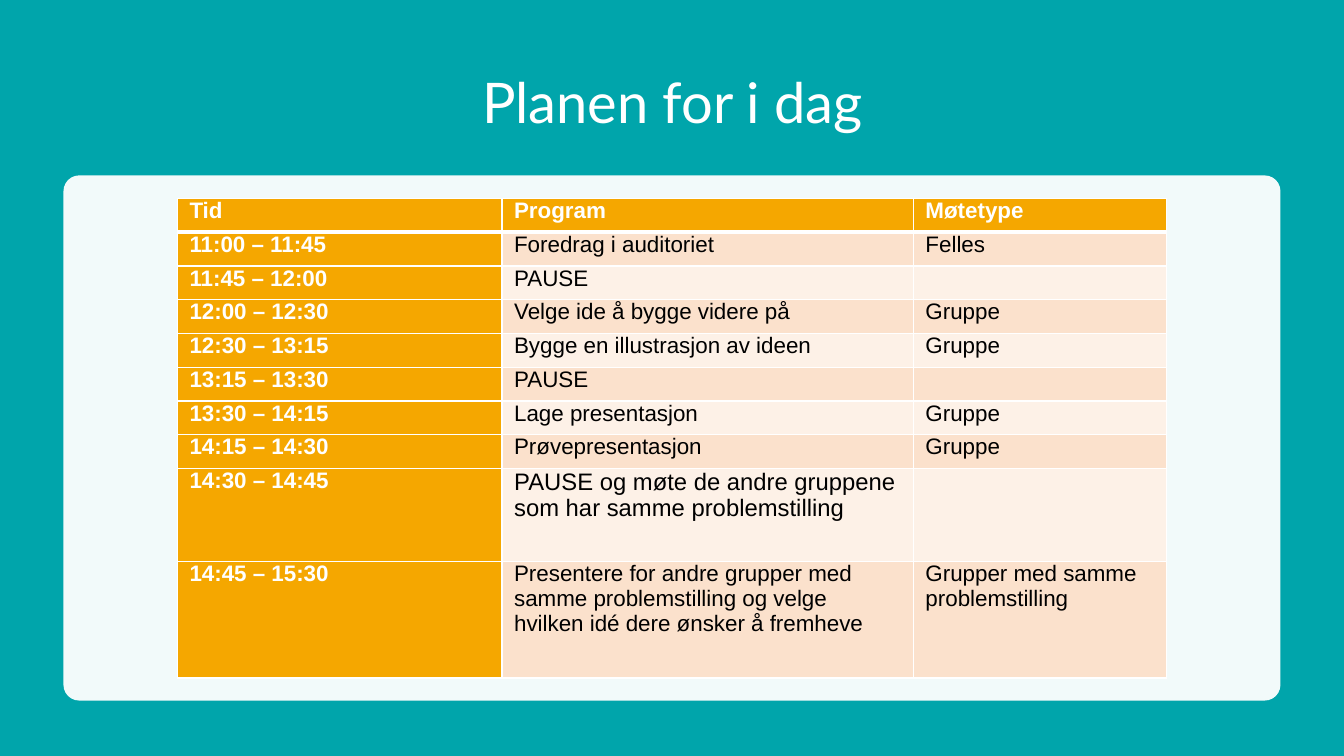
from dataclasses import dataclass

from lxml.etree import SubElement
from pptx import Presentation
from pptx.dml.color import RGBColor
from pptx.enum.shapes import MSO_SHAPE as Shape
from pptx.enum.text import MSO_ANCHOR as Anchor, PP_ALIGN as Align
from pptx.oxml.ns import qn
from pptx.util import Inches, Pt

TEAL = RGBColor(0x00, 0xA5, 0xAB)
WHITE = RGBColor(0xFF, 0xFF, 0xFF)
BLACK = RGBColor(0x00, 0x00, 0x00)
ORANGE = RGBColor(0xF5, 0xA7, 0x00)
PEACH = RGBColor(0xFB, 0xE1, 0xCC)
CREAM = RGBColor(0xFD, 0xF1, 0xE7)


@dataclass
class Session:
    time: str
    program: str
    meeting: str = ""
    program_size: int = 16


HEADER = Session("Tid", "Program", "Møtetype")
SESSIONS = [
    Session("11:00 – 11:45", "Foredrag i auditoriet", "Felles"),
    Session("11:45 – 12:00", "PAUSE"),
    Session("12:00 – 12:30", "Velge ide å bygge videre på", "Gruppe"),
    Session("12:30 – 13:15", "Bygge en illustrasjon av ideen", "Gruppe"),
    Session("13:15 – 13:30", "PAUSE"),
    Session("13:30 – 14:15", "Lage presentasjon", "Gruppe"),
    Session("14:15 – 14:30", "Prøvepresentasjon", "Gruppe"),
    Session("14:30 – 14:45",
            "PAUSE og møte de andre gruppene som har samme problemstilling",
            program_size=17),
    Session("14:45 – 15:30",
            "Presentere for andre grupper med samme problemstilling og velge "
            "hvilken idé dere ønsker å fremheve",
            "Grupper med samme problemstilling"),
]
COLUMN_WIDTHS = [3.22, 4.08, 2.51]
PLAN_HEIGHT = 4.76
TALL_ROWS = [0.92, 1.16]


def add_panel(slide, kind, left: float, top: float, width: float,
              height: float, color: RGBColor):
    panel = slide.shapes.add_shape(
        kind, Inches(left), Inches(top), Inches(width), Inches(height))
    panel.shadow.inherit = False
    panel.fill.solid()
    panel.fill.fore_color.rgb = color
    panel.line.fill.background()
    return panel


def add_title(slide, text: str) -> None:
    title = slide.shapes.add_textbox(
        Inches(0.92), Inches(0.5), Inches(11.5), Inches(1.1))
    frame = title.text_frame
    frame.word_wrap = True
    frame.vertical_anchor = Anchor.MIDDLE
    heading = frame.paragraphs[0]
    heading.text = text
    heading.alignment = Align.CENTER
    heading.line_spacing = 0.9
    heading.font.name = "Lato"
    heading.font.size = Pt(40)
    heading.font.color.rgb = WHITE


def add_borders(cell, top: int, bottom: int) -> None:
    properties = cell._tc.get_or_add_tcPr()
    for side, points in (("L", 1), ("R", 1), ("T", top), ("B", bottom)):
        border = SubElement(properties, qn(f"a:ln{side}"), w=str(Pt(points)))
        fill = SubElement(border, qn("a:solidFill"))
        SubElement(fill, qn("a:srgbClr"), val=str(WHITE))


def fill_cell(cell, text: str, size: int, emphasized: bool,
              background: RGBColor) -> None:
    cell.margin_left = cell.margin_right = Inches(0.12)
    cell.margin_top = cell.margin_bottom = 0
    cell.fill.solid()
    cell.fill.fore_color.rgb = background
    entry = cell.text_frame.paragraphs[0]
    entry.text = text
    entry.font.name = "Arial"
    entry.font.size = Pt(size)
    entry.font.bold = emphasized
    entry.font.color.rgb = WHITE if emphasized else BLACK


def add_plan(slide) -> None:
    sessions = [HEADER, *SESSIONS]
    short_rows = len(sessions) - len(TALL_ROWS)
    short_height = (PLAN_HEIGHT - sum(TALL_ROWS)) / short_rows
    heights = [short_height] * short_rows + TALL_ROWS
    plan = slide.shapes.add_table(
        len(sessions), len(COLUMN_WIDTHS), Inches(1.76), Inches(1.97),
        Inches(sum(COLUMN_WIDTHS)), Inches(PLAN_HEIGHT)).table
    plan.first_col = True
    for column, width in zip(plan.columns, COLUMN_WIDTHS):
        column.width = Inches(width)
    for row, (session, height) in enumerate(zip(sessions, heights)):
        plan.rows[row].height = Inches(height)
        entries = [(session.time, 16),
                   (session.program, session.program_size),
                   (session.meeting, 16)]
        for column, (text, size) in enumerate(entries):
            cell = plan.cell(row, column)
            emphasized = row == 0 or column == 0
            band = PEACH if row % 2 else CREAM
            add_borders(cell, top=3 if row == 1 else 1,
                        bottom=3 if row == 0 else 1)
            fill_cell(cell, text, size, emphasized,
                      ORANGE if emphasized else band)


def main() -> None:
    presentation = Presentation()
    presentation.slide_width = Inches(13.33)
    presentation.slide_height = Inches(7.5)
    slide = presentation.slides.add_slide(presentation.slide_layouts[6])
    add_panel(slide, Shape.RECTANGLE, 0, 0, 13.33, 7.5, TEAL)
    add_title(slide, "Planen for i dag")
    card = add_panel(slide, Shape.ROUNDED_RECTANGLE,
                     0.63, 1.74, 12.07, 5.21, WHITE)
    card.adjustments[0] = 0.03
    card_color = card.fill._xPr.find(qn("a:solidFill"))[0]
    SubElement(card_color, qn("a:alpha"), val="95000")
    add_plan(slide)
    presentation.save("out.pptx")


if __name__ == "__main__":
    main()
